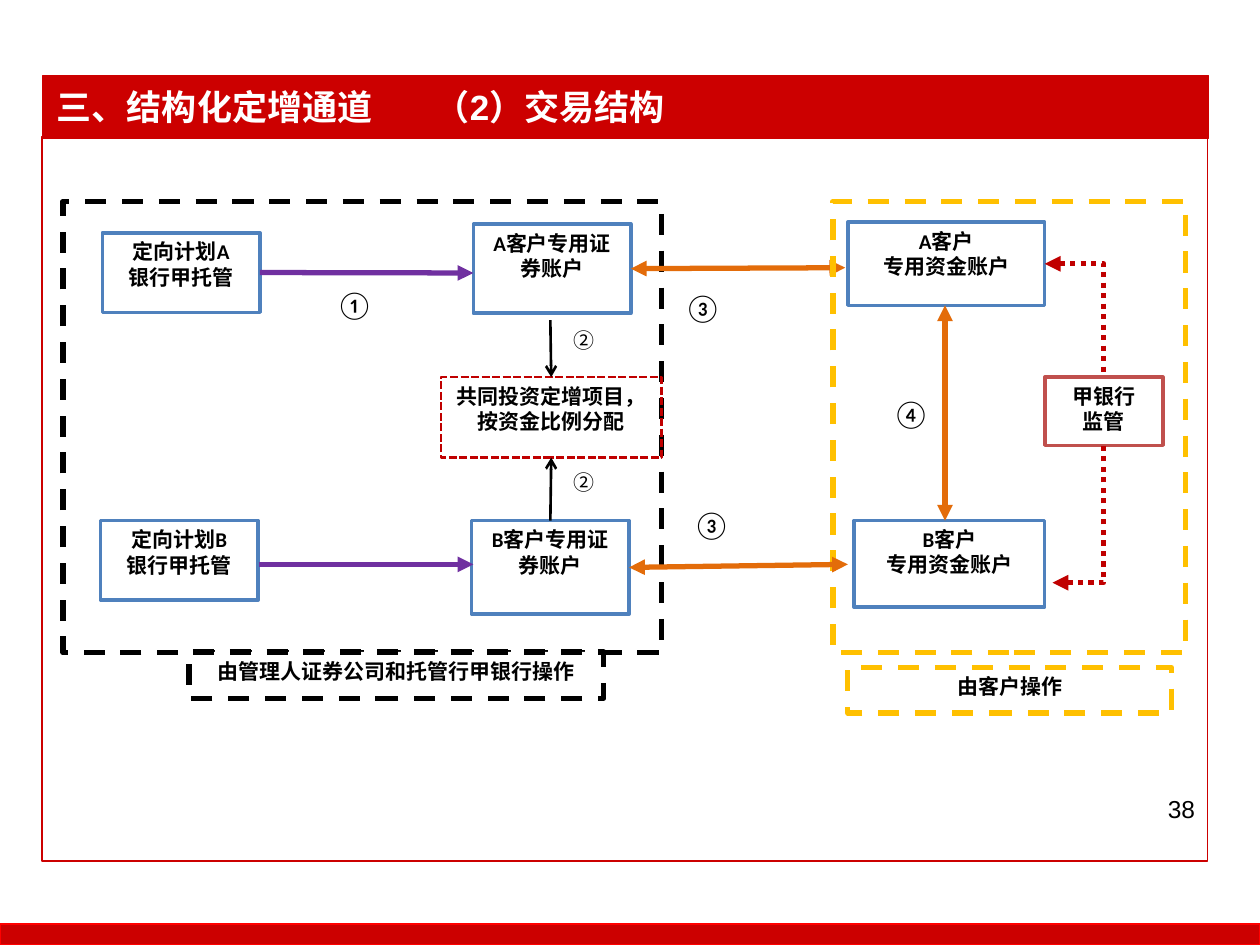
from dataclasses import dataclass

from lxml import etree
from pptx import Presentation
from pptx.dml.color import RGBColor
from pptx.enum.dml import MSO_LINE
from pptx.enum.shapes import MSO_CONNECTOR, MSO_SHAPE
from pptx.enum.text import MSO_ANCHOR, MSO_AUTO_SIZE, PP_ALIGN
from pptx.oxml.ns import qn
from pptx.util import Pt

RECT = MSO_SHAPE.RECTANGLE
STRAIGHT, ELBOW = MSO_CONNECTOR.STRAIGHT, MSO_CONNECTOR.ELBOW
LEFT, CENTER, RIGHT = PP_ALIGN.LEFT, PP_ALIGN.CENTER, PP_ALIGN.RIGHT
DASH, SHORT, DOTS = MSO_LINE.DASH, MSO_LINE.SQUARE_DOT, MSO_LINE.ROUND_DOT
TOP_SIDE, BOTTOM_SIDE, RIGHT_SIDE = 0, 2, 3


@dataclass(frozen=True)
class Theme:
    red: str = "CC0000"
    edge: str = "FF0000"
    white: str = "FFFFFF"
    black: str = "000000"
    blue: str = "4F81BD"
    brick: str = "C0504D"
    dark: str = "C00000"
    purple: str = "7030A0"
    orange: str = "E36C0A"
    gold: str = "FFC000"
    head: str = "Arial"
    body: str = "Calibri"
    cjk: str = "Noto Sans CJK SC"
    title: int = 20
    step: int = 16
    page: int = 14
    text: int = 12


T = Theme()


def rgb(code):
    return RGBColor.from_string(code)


def write(frame, text, size, font, color=T.black, bold=False, align=LEFT):
    frame.word_wrap = True
    frame.text = text
    for para in frame.paragraphs:
        para.alignment = align
        para.font.size = Pt(size)
        para.font.name = font
        para.font.bold = bold
        para.font.color.rgb = rgb(color)


def place(shape, area):
    shape.left, shape.top, shape.width, shape.height = map(Pt, area)


def stroke(line, color, width, dash=None):
    line.color.rgb = rgb(color)
    line.width = Pt(width)
    if dash:
        line.dash_style = dash


def box(slide, area, color, width=2, text="", fill=T.white, dash=None):
    """Add a rectangle with bold centred text; fill None leaves it open."""
    shape = slide.shapes.add_shape(RECT, *map(Pt, area))
    shape.shadow.inherit = False
    if fill:
        shape.fill.solid()
        shape.fill.fore_color.rgb = rgb(fill)
    else:
        shape.fill.background()
    stroke(shape.line, color, width, dash)
    if text:
        shape.text_frame.vertical_anchor = MSO_ANCHOR.TOP
        write(shape.text_frame, text, T.text, T.body, bold=True, align=CENTER)
    return shape


def note(slide, area, text, size, font, align=LEFT):
    shape = slide.shapes.add_textbox(*map(Pt, area))
    write(shape.text_frame, text, size, font, align=align)


def arrow(slide, start, end, color, width=3, head=None, tail="triangle",
          kind=STRAIGHT, dash=None):
    """Join two ends, each a point (x, y) or a (shape, side) pair."""
    points = [(0, 0) if hasattr(e[0], "shape_id") else e for e in (start, end)]
    link = slide.shapes.add_connector(kind, *(Pt(v) for p in points for v in p))
    for spot, join in ((start, link.begin_connect), (end, link.end_connect)):
        if hasattr(spot[0], "shape_id"):
            join(*spot)
    stroke(link.line, color, width, dash)
    props = link.line._get_or_add_ln()
    for tag, style in (("a:headEnd", head), ("a:tailEnd", tail)):
        if style:
            etree.SubElement(props, qn(tag), type=style)
    etree.SubElement(link._element.spPr, qn("a:effectLst"))
    return link


def corner(slide, start, end):
    """Dotted elbow that runs across, then turns once; its head is at start."""
    link = arrow(slide, start, end, T.dark, head="triangle", tail=None,
                 kind=ELBOW, dash=DOTS)
    geom = link._element.spPr.find(qn("a:prstGeom"))
    guides = geom.find(qn("a:avLst"))
    if guides is None:
        guides = etree.SubElement(geom, qn("a:avLst"))
    etree.SubElement(guides, qn("a:gd"), name="adj1", fmla="val 100000")


def base(slide):
    box(slide, (0, 528, 720, 12), T.edge, 0.75, fill=T.red)
    box(slide, (24, 78, 666, 414), T.red, 1, fill=None)
    title = slide.shapes.title
    place(title, (24.5, 43, 666, 36))
    title.fill.solid()
    title.fill.fore_color.rgb = rgb(T.red)
    stroke(title.line, T.red, 0.75)
    frame = title.text_frame
    frame.auto_size = MSO_AUTO_SIZE.NONE
    frame.vertical_anchor = MSO_ANCHOR.MIDDLE
    frame.margin_left = Pt(8)
    frame.margin_top = frame.margin_bottom = 0
    write(frame, "三、结构化定增通道\t（2）交易结构", T.title, T.head, T.white, True)
    note(slide, (522, 450, 168, 37), "38", T.page, T.head, RIGHT)


def manager(slide):
    """Left part: plans, securities accounts and the joint project."""
    box(slide, (36, 115, 342, 258), T.black, 3, fill=None, dash=DASH)
    stock_a = box(slide, (270.5, 128, 90, 51), T.blue, text="A客户专用证券账户")
    stock_b = box(slide, (269.5, 297.5, 90, 53.5), T.blue, text="B客户专用证券账户")
    plan_a = box(slide, (58.5, 133, 90, 45.5), T.blue, text="定向计划A\n银行甲托管")
    box(slide, (57.5, 297.5, 90, 45.5), T.blue, text="定向计划B\n银行甲托管")
    deal = box(slide, (252, 215.5, 126, 46), T.dark, 1.5,
               "共同投资定增项目，按资金比例分配", fill=None, dash=SHORT)
    arrow(slide, (plan_a, RIGHT_SIDE), (270.5, 156), T.purple)
    arrow(slide, (148, 322.5), (270.5, 322.5), T.purple)
    arrow(slide, (314.5, 183), (deal, TOP_SIDE), T.black, 1.5, tail="arrow")
    arrow(slide, (stock_b, TOP_SIDE), (deal, BOTTOM_SIDE), T.black, 1.5,
          tail="arrow")
    box(slide, (108, 372.5, 237, 26.5), T.black, 3,
        "由管理人证券公司和托管行甲银行操作", dash=DASH)
    return stock_a, stock_b


def client(slide, stock_a, stock_b):
    """Right part: cash accounts and the bank that watches them."""
    cash_b = box(slide, (488, 297.5, 109, 49.5), T.blue, text="B客户\n专用资金账户")
    bank = box(slide, (597, 215.5, 67.5, 39), T.brick, text="甲银行\n监管")
    cash_a = box(slide, (484.5, 127, 112.5, 47.5), T.blue, text="A客户\n专用资金账户")
    arrow(slide, (stock_a, RIGHT_SIDE), (483, 153), T.orange, head="triangle")
    corner(slide, (cash_a, RIGHT_SIDE), (bank, TOP_SIDE))
    corner(slide, (601.5, 333), (bank, BOTTOM_SIDE))
    box(slide, (476, 115, 201.5, 258), T.gold, 3, fill=None, dash=DASH)
    box(slide, (484.5, 381.5, 185, 26), T.gold, 3, "由客户操作", dash=DASH)
    arrow(slide, (540, 174.5), (540, cash_b.top.pt), T.orange, head="triangle")
    arrow(slide, (stock_b, RIGHT_SIDE), (484.5, 322.5), T.orange,
          head="triangle")


def steps(slide):
    for mark, x, y in (("①", 185, 160.5), ("③", 384, 162.5),
                       ("③", 389, 286.5), ("④", 503, 223)):
        note(slide, (x, y, 33, 32), mark, T.step, T.body)
    for y in (183.5, 265):
        note(slide, (320.5, y, 29.5, 25), "②", T.text, T.cjk)


def main():
    deck = Presentation()
    deck.slide_width, deck.slide_height = Pt(720), Pt(540)
    slide = deck.slides.add_slide(deck.slide_layouts[5])
    base(slide)
    client(slide, *manager(slide))
    steps(slide)
    deck.save("out.pptx")


if __name__ == "__main__":
    main()
